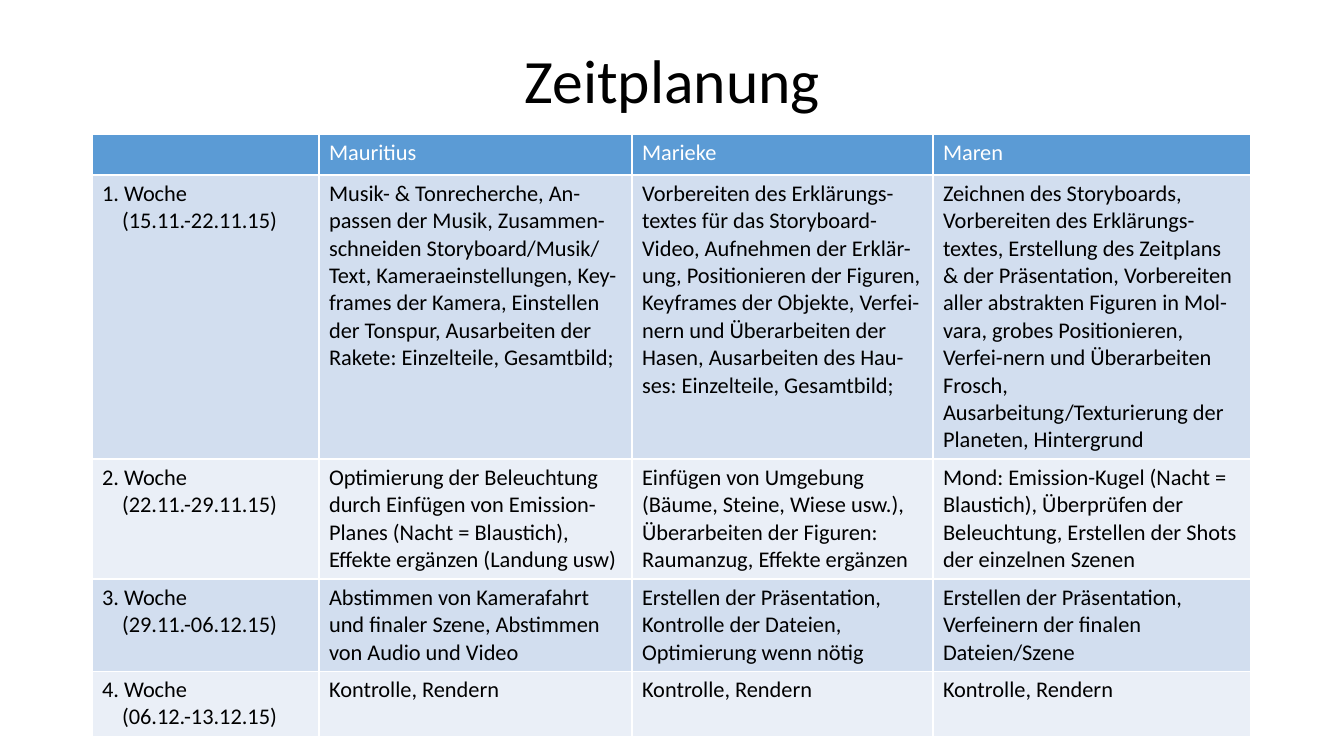
import pptx
import pptx.dml.color
import pptx.enum.text
import pptx.oxml
import pptx.oxml.ns
import pptx.util

RGBColor = pptx.dml.color.RGBColor
BLACK = RGBColor(0x00, 0x00, 0x00)
WHITE = RGBColor(0xFF, 0xFF, 0xFF)
BLUE = RGBColor(0x5B, 0x9B, 0xD5)
BANDS = (RGBColor(0xD2, 0xDE, 0xEF), RGBColor(0xEA, 0xEF, 0xF7))

COL_WIDTHS = (227, 313, 301, 318)
ROW_HEIGHTS = (41, 256, 120, 92, 65)
HEADER = ("", "Mauritius", "Marieke", "Maren")
# A vertical tab is a line break inside the paragraph
WEEKS = (
    ("1. Woche\v(15.11.-22.11.15)",
     "Musik- & Tonrecherche, An-passen der Musik, Zusammen-schneiden "
     "Storyboard/Musik/ Text, Kameraeinstellungen, Key-frames der Kamera, "
     "Einstellen der Tonspur, Ausarbeiten der Rakete: Einzelteile, Gesamtbild;",
     "Vorbereiten des Erklärungs-textes für das Storyboard-Video, Aufnehmen der "
     "Erklär-ung, Positionieren der Figuren, Keyframes der Objekte, Verfei-nern und "
     "Überarbeiten der Hasen, Ausarbeiten des Hau-ses: Einzelteile, Gesamtbild;",
     "Zeichnen des Storyboards, Vorbereiten des Erklärungs-textes, Erstellung des "
     "Zeitplans & der Präsentation, Vorbereiten aller abstrakten Figuren in Mol-vara, "
     "grobes Positionieren, Verfei-nern und Überarbeiten Frosch, "
     "Ausarbeitung/Texturierung der Planeten, Hintergrund"),
    ("2. Woche\v(22.11.-29.11.15)",
     "Optimierung der Beleuchtung durch Einfügen von Emission-Planes "
     "(Nacht = Blaustich), Effekte ergänzen (Landung usw)",
     "Einfügen von Umgebung (Bäume, Steine, Wiese usw.), Überarbeiten der Figuren: "
     "Raumanzug, Effekte ergänzen",
     "Mond: Emission-Kugel (Nacht = Blaustich), Überprüfen der Beleuchtung, "
     "Erstellen der Shots der einzelnen Szenen"),
    ("3. Woche\v(29.11.-06.12.15)",
     "Abstimmen von Kamerafahrt und finaler Szene, Abstimmen von Audio und Video",
     "Erstellen der Präsentation, Kontrolle der Dateien, Optimierung wenn nötig",
     "Erstellen der Präsentation, Verfeinern der finalen Dateien/Szene"),
    ("4. Woche\v(06.12.-13.12.15)",) + ("Kontrolle, Rendern",) * 3,
)


def px(n):
    return pptx.util.Emu(round(n * 914400 / 100.8))


class Deck:
    font = "Calibri"
    week_indent = 20

    def __init__(self, width, height):
        self.prs = pptx.Presentation()
        self.prs.slide_width, self.prs.slide_height = px(width), px(height)
        self.s = self.prs.slides.add_slide(self.prs.slide_layouts[5])

    def style(self, p, size, color):
        p.font.color.rgb = color
        fmt = {"name": self.font, "size": pptx.util.Pt(size), "bold": False}
        for key, value in fmt.items():
            setattr(p.font, key, value)

    def title(self, text, left, top, width, height):
        sp = self.s.shapes.title
        box = {"left": left, "top": top, "width": width, "height": height}
        for key, value in box.items():
            setattr(sp, key, px(value))
        tf = sp.text_frame
        tf.text = text
        tf.auto_size = pptx.enum.text.MSO_AUTO_SIZE.NONE
        tf.vertical_anchor = pptx.enum.text.MSO_ANCHOR.MIDDLE
        p = tf.paragraphs[0]
        p.alignment = pptx.enum.text.PP_ALIGN.CENTER
        p.line_spacing = 0.9
        self.style(p, 44, BLACK)

    def borders(self, cell):
        tcPr = cell._tc.get_or_add_tcPr()
        for side in "LRTB":
            tcPr.append(pptx.oxml.parse_xml(
                f'<a:ln{side} {pptx.oxml.ns.nsdecls("a")} w="{pptx.util.Pt(1)}">'
                f'<a:solidFill><a:srgbClr val="{WHITE}"/></a:solidFill></a:ln{side}>'))

    def cell(self, cell, text, fill, color):
        self.borders(cell)
        cell.fill.solid()
        cell.fill.fore_color.rgb = fill
        p = cell.text_frame.paragraphs[0]
        p.text = text
        self.style(p, 16, color)
        if "\v" in text:
            # Hanging indent for the dates under each week
            pPr = p._p.get_or_add_pPr()
            pPr.set("marL", str(px(self.week_indent)))
            pPr.set("indent", str(-px(self.week_indent)))

    def table(self, rows, left, top, widths, heights):
        table = self.s.shapes.add_table(
            len(rows), len(widths), px(left), px(top),
            px(sum(widths)), px(sum(heights))).table
        for col, width in zip(table.columns, widths):
            col.width = px(width)
        for i, (row, height, texts) in enumerate(zip(table.rows, heights, rows)):
            row.height = px(height)
            for cell, text in zip(row.cells, texts):
                if i == 0:
                    self.cell(cell, text, BLUE, WHITE)
                else:
                    self.cell(cell, text, BANDS[(i - 1) % 2], BLACK)


def main():
    deck = Deck(1344, 756)
    # Heading
    deck.title("Zeitplanung", 93, 11, 1159, 146)
    # Schedule by week and person
    deck.table((HEADER,) + WEEKS, 92, 134, COL_WIDTHS, ROW_HEIGHTS)
    deck.prs.save("out.pptx")


if __name__ == "__main__":
    main()
